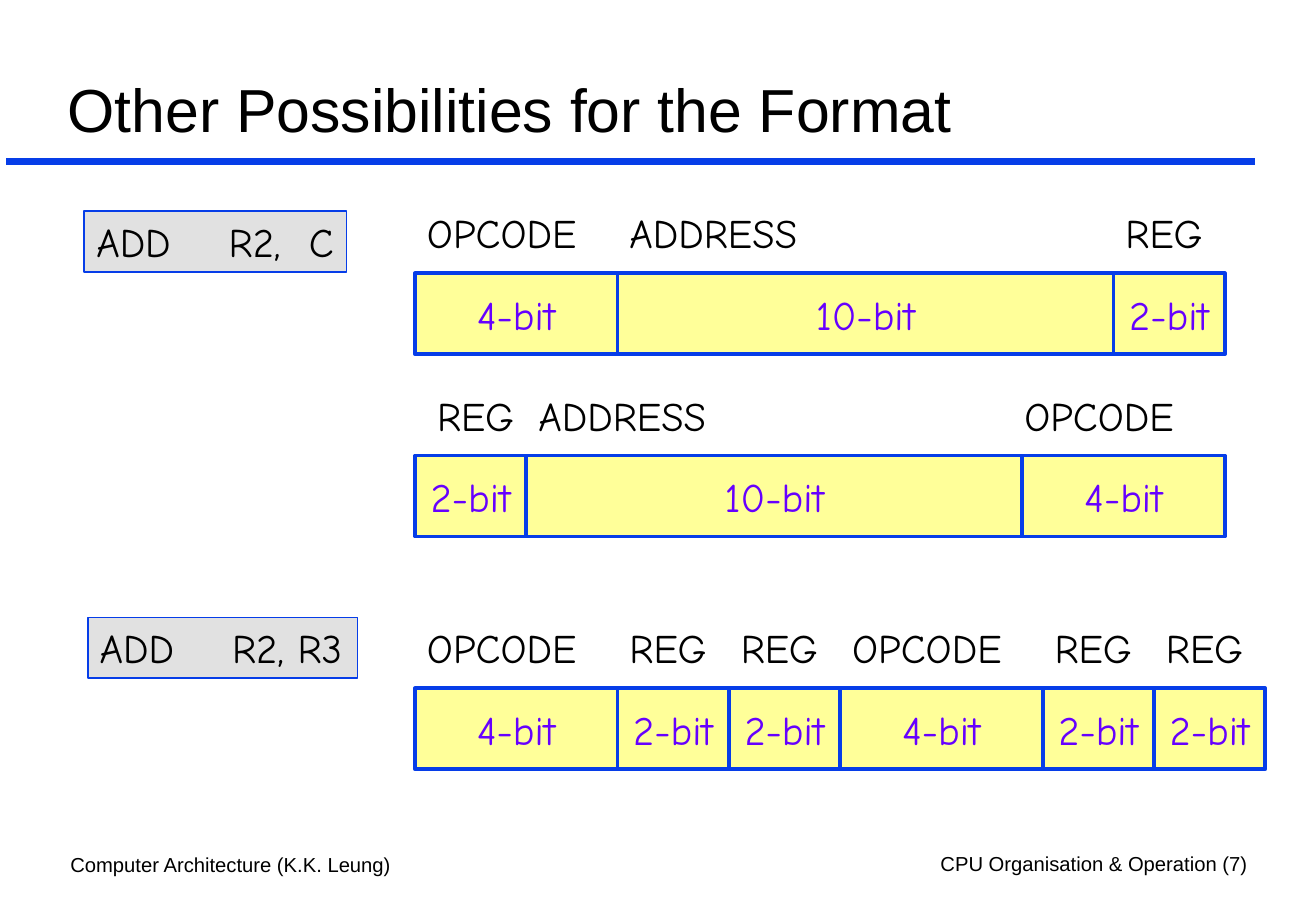
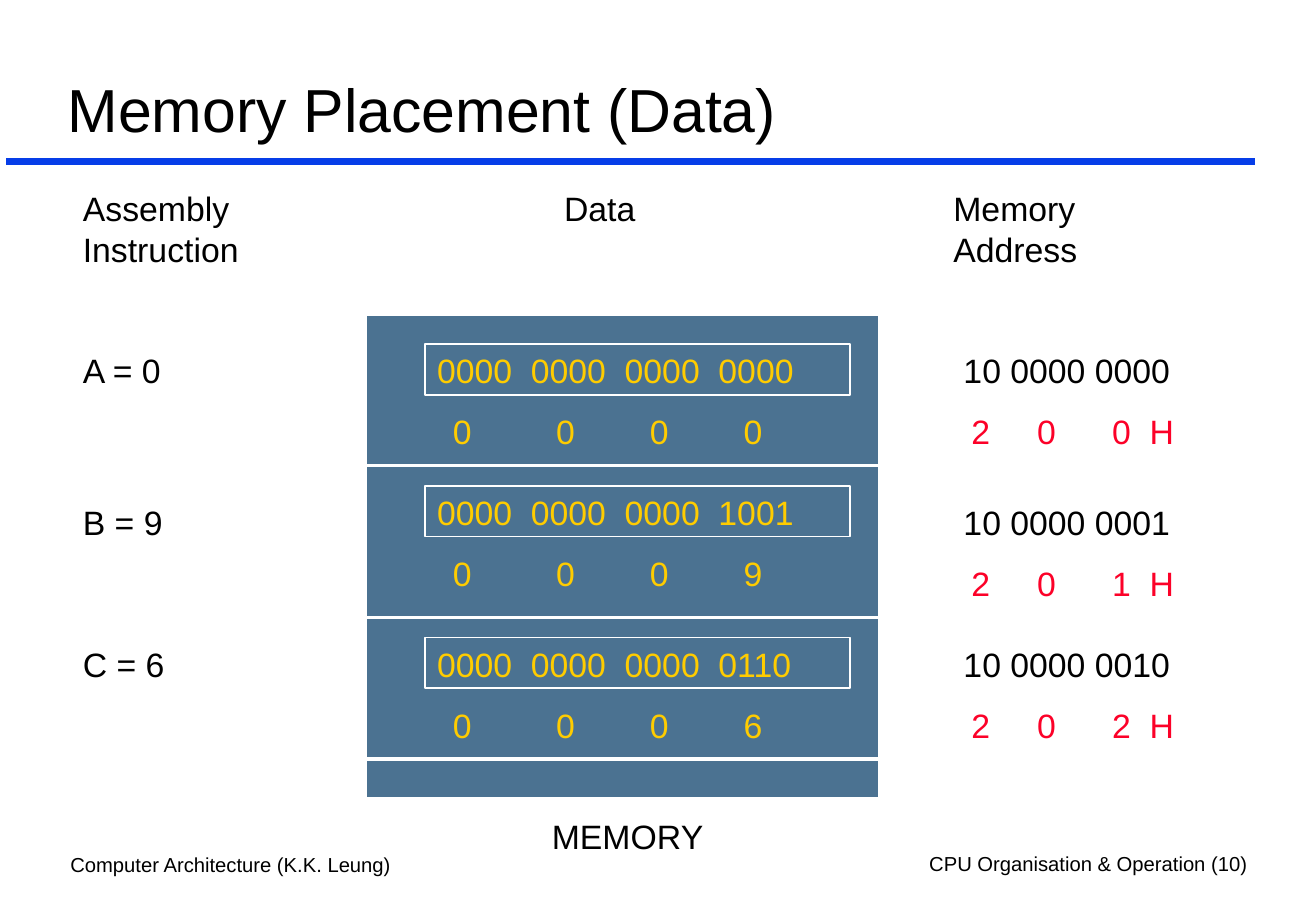
"""Build two slides on instruction formats and data placement in memory."""
import dataclasses
import typing

import lxml.etree
import pptx
import pptx.dml.color
import pptx.enum.shapes
import pptx.enum.text
import pptx.oxml.ns
import pptx.slide
import pptx.util

Pt = pptx.util.Pt
Color = pptx.dml.color.RGBColor
Align = pptx.enum.text.PP_ALIGN
Anchor = pptx.enum.text.MSO_ANCHOR
qn = pptx.oxml.ns.qn

BLACK = Color(0x00, 0x00, 0x00)
WHITE = Color(0xFF, 0xFF, 0xFF)
BLUE = Color(0x06, 0x3D, 0xE8)
GREY = Color(0xE1, 0xE1, 0xE1)
CREAM = Color(0xFF, 0xFF, 0x99)
PURPLE = Color(0x66, 0x00, 0xFF)
STEEL = Color(0x4B, 0x72, 0x91)
GOLD = Color(0xFF, 0xCC, 0x00)
RED = Color(0xFC, 0x01, 0x28)

LEFT = 246
BITS = {2: 66, 4: 120, 10: 294}
LABELS = {"OPCODE": 120, "ADDRESS": 144, "REG": 68}


@dataclasses.dataclass(frozen=True)
class Box:
    left: float
    top: float
    width: float
    height: float


@dataclasses.dataclass(frozen=True)
class Style:
    size: float = 20
    color: Color = BLACK
    font: str = "Arial"
    align: Align = Align.LEFT
    anchor: Anchor = Anchor.TOP
    wrap: bool = True
    right: float = 7.2
    tabs: tuple[float, ...] = ()


class Field(typing.NamedTuple):
    name: str
    bits: int
    nudge: float = 0


class Row(typing.NamedTuple):
    top: float
    fields: list[Field]


class Code(typing.NamedTuple):
    text: str
    box: Box


class Datum(typing.NamedTuple):
    name: str
    top: float
    data_top: float
    rule: float
    data: str
    digits: str
    address: str
    hexa: str


PLAIN = Style()
TITLE = Style(size=36, anchor=Anchor.BOTTOM)
FOOT = Style(size=12)
LABEL = Style(size=24, font="Comic Neue")
CODE = dataclasses.replace(LABEL, right=0, tabs=(78.5, 126))
CELL = dataclasses.replace(LABEL, color=PURPLE, align=Align.CENTER,
                           anchor=Anchor.MIDDLE, wrap=False)
DATA = Style(color=GOLD, tabs=(55.6, 111.2, 166.8))
DIGITS = Style(color=GOLD, tabs=(33.4, 94.5, 150.1, 205.7))
HEXA = Style(color=RED, tabs=(16.7, 55.6, 100.1, 122.3))

CODES = [
    Code("ADD\tR2,\tC", Box(50, 125.3, 155.5, 36)),
    Code("ADD\tR2, R3", Box(52, 366, 160, 36)),
]
PAIR = [Field("OPCODE", 4), Field("REG", 2), Field("REG", 2)]
ROWS = [
    Row(162, [Field("OPCODE", 4), Field("ADDRESS", 10), Field("REG", 2)]),
    Row(270, [Field("REG", 2, 6), Field("ADDRESS", 10), Field("OPCODE", 4, -6)]),
    Row(408, PAIR * 2),
]
ITEMS = [
    Datum("A = 0", 204, 204, 276, "0000\t0000\t0000\t0000", "\t0\t0\t0\t0",
          "10 0000 0000", "\t2\t0\t0\tH"),
    Datum("B = 9", 294, 288, 366, "0000\t0000\t0000\t1001", "\t0\t0\t0\t9",
          "10 0000 0001", "\t2\t0\t1\tH"),
    Datum("C = 6", 378, 378, 450, "0000\t0000\t0000\t0110", "\t0\t0\t0\t6",
          "10 0000 0010", "\t2\t0\t2\tH"),
]


def fill_text(shape: typing.Any, text: str, style: Style) -> None:
    """Put styled text in a shape."""
    frame = shape.text_frame
    frame.text = text
    frame.word_wrap = style.wrap
    frame.vertical_anchor = style.anchor
    frame.margin_left, frame.margin_right = Pt(7.2), Pt(style.right)
    frame.margin_top = frame.margin_bottom = Pt(3.6)
    for para in frame.paragraphs:
        para.alignment = style.align
        if style.tabs:
            stops = lxml.etree.SubElement(para._p.get_or_add_pPr(), qn("a:tabLst"))
            for stop in style.tabs:
                lxml.etree.SubElement(stops, qn("a:tab"), pos=str(int(Pt(stop))), algn="l")
        for run in para.runs:
            run.font.size = Pt(style.size)
            run.font.name = style.font
            run.font.color.rgb = style.color


def add_text(slide: pptx.slide.Slide, box: Box, text: str, style: Style = PLAIN) -> None:
    """Add a text box."""
    shape = slide.shapes.add_textbox(*map(Pt, dataclasses.astuple(box)))
    fill_text(shape, text, style)


def add_rect(slide: pptx.slide.Slide, box: Box, fill: Color | None, line: Color,
             weight: float, text: str = "", style: Style = PLAIN) -> None:
    """Add a framed rectangle, with text if given."""
    shape = slide.shapes.add_shape(pptx.enum.shapes.MSO_SHAPE.RECTANGLE,
                                   *map(Pt, dataclasses.astuple(box)))
    shape.shadow.inherit = False
    if fill is None:
        shape.fill.background()
    else:
        shape.fill.solid()
        shape.fill.fore_color.rgb = fill
    shape.line.color.rgb = line
    shape.line.width = Pt(weight)
    if text:
        fill_text(shape, text, style)


def add_rule(slide: pptx.slide.Slide, left: float, right: float, top: float,
             color: Color, weight: float) -> None:
    """Add a level line."""
    rule = slide.shapes.add_connector(pptx.enum.shapes.MSO_CONNECTOR.STRAIGHT,
                                      Pt(left), Pt(top), Pt(right), Pt(top))
    rule.line.color.rgb = color
    rule.line.width = Pt(weight)
    lxml.etree.SubElement(rule._element.spPr, qn("a:effectLst"))


def add_slide(deck: typing.Any, title: str, page: int) -> pptx.slide.Slide:
    """Add a slide with its title, rule and footers."""
    slide = deck.slides.add_slide(deck.slide_layouts[6])
    add_rule(slide, 3.6, 743.8, 95.8, BLUE, 4)
    add_text(slide, Box(34.6, 501.8, 265.7, 21.6), "Computer Architecture (K.K. Leung)", FOOT)
    add_text(slide, Box(487.4, 501.1, 259.2, 21.6), f"CPU Organisation & Operation ({page})",
             dataclasses.replace(FOOT, align=Align.RIGHT))
    add_text(slide, Box(33, 22.3, 712.8, 67), title, TITLE)
    return slide


def draw_row(slide: pptx.slide.Slide, row: Row) -> None:
    """Draw one word as adjoining fields under their labels."""
    left = LEFT
    for field in row.fields:
        width = BITS[field.bits]
        add_rect(slide, Box(left, row.top, width, 48), CREAM, BLUE, 2.25,
                 f"{field.bits}-bit", CELL)
        add_text(slide, Box(left + field.nudge, row.top - 42, LABELS[field.name], 36),
                 field.name, LABEL)
        left += width


def draw_item(slide: pptx.slide.Slide, item: Datum) -> None:
    """Draw one datum with its bits and address."""
    add_text(slide, Box(42, item.top, 162, 30), item.name)
    add_rect(slide, Box(252, item.data_top, 252, 30), None, WHITE, 1, item.data, DATA)
    add_text(slide, Box(228, item.data_top + 36, 276, 30), item.digits, DIGITS)
    add_rule(slide, 216, 714, item.rule, WHITE, 2.25)
    add_text(slide, Box(564, item.top, 150, 30), item.address)
    add_text(slide, Box(552, item.top + 36, 156, 30), item.hexa, HEXA)


def main() -> None:
    """Build and save the deck."""
    deck = pptx.Presentation()
    deck.slide_width, deck.slide_height = Pt(780), Pt(540)

    slide = add_slide(deck, "Other Possibilities for the Format", 7)
    for code in CODES:
        add_rect(slide, code.box, GREY, BLUE, 1, code.text, CODE)
    for row in ROWS:
        draw_row(slide, row)

    slide = add_slide(deck, "Memory Placement (Data)", 10)
    add_rect(slide, Box(216, 186, 306, 288), STEEL, WHITE, 3)
    add_text(slide, Box(42, 108, 162, 54), "Assembly\vInstruction")
    add_text(slide, Box(216, 108, 300, 54), "\tData", Style(tabs=(111.2,)))
    add_text(slide, Box(558, 108, 108, 54), "Memory\vAddress")
    add_text(slide, Box(282, 480, 180, 30), "MEMORY", Style(align=Align.CENTER))
    for item in ITEMS:
        draw_item(slide, item)

    deck.save("out.pptx")


if __name__ == "__main__":
    main()
